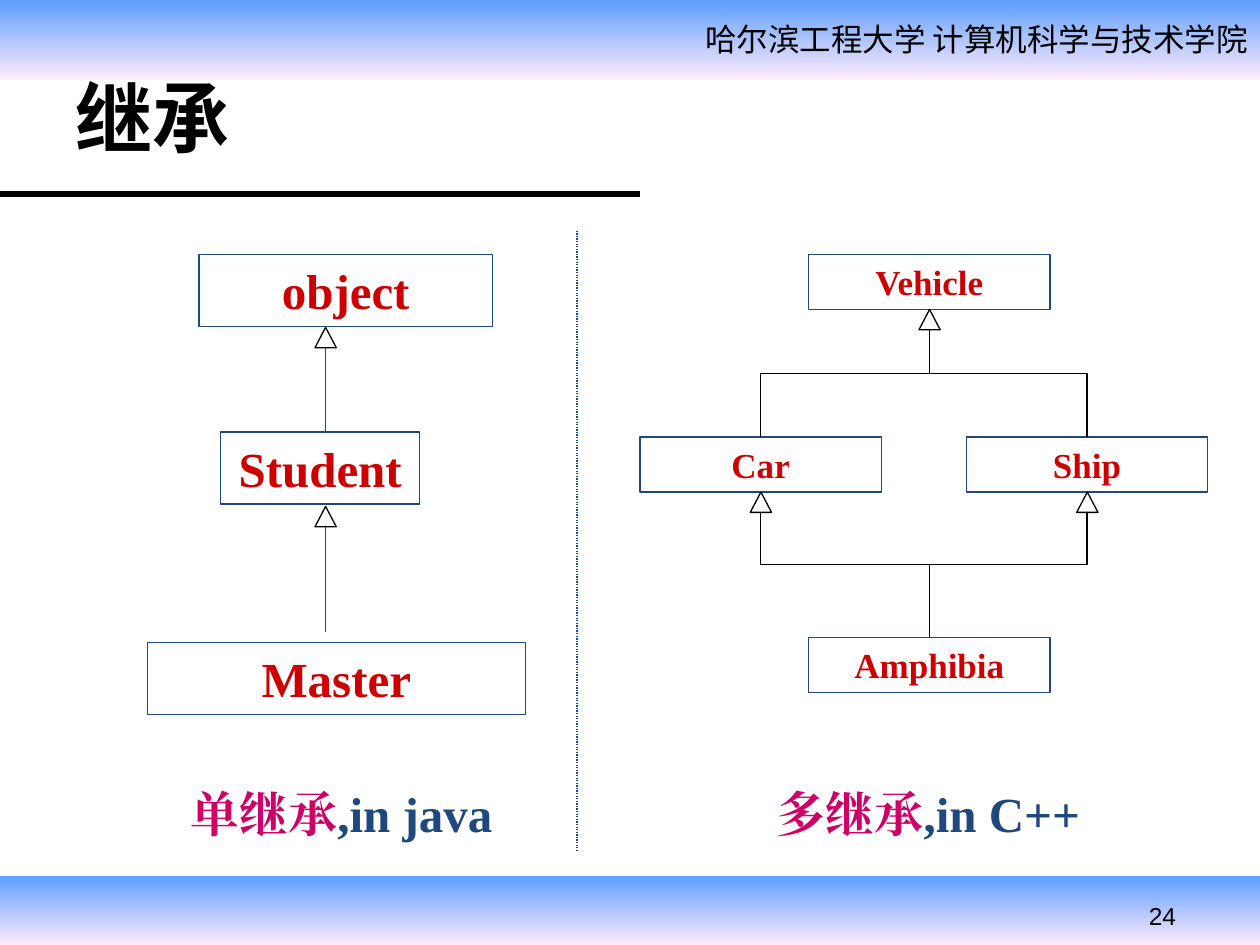
from lxml import etree
from pptx import Presentation
from pptx import util as u
from pptx.dml import color as dml
from pptx.enum import dml as styles, shapes, text
from pptx.oxml import ns

BLACK, WHITE, NAVY, RED, PINK = "000000", "FFFFFF", "1F497D", "CC0000", "CC0066"
SERIF = "Times New Roman"
MIDDLE, LEFT, RIGHT = text.PP_ALIGN.CENTER, text.PP_ALIGN.LEFT, text.PP_ALIGN.RIGHT


def rgb(value):
    """Turn a hex string into a colour."""
    return dml.RGBColor.from_string(value)


def assign(obj, values):
    """Set attributes of an object from a dict."""
    for name, value in values.items():
        setattr(obj, name, value)


def cm(*values):
    """Convert numbers to centimetre lengths."""
    return [u.Cm(v) for v in values]


def write(sp, runs, size, font=SERIF, bold=True, align=MIDDLE, **frame):
    """Write (text, colour) runs as the one paragraph of a shape."""
    tf = sp.text_frame
    assign(tf, frame)
    p = tf.paragraphs[0]
    p.alignment = align
    for words, tint in runs:
        r = p.add_run()
        r.text = words
        assign(r.font, {"size": u.Pt(size), "bold": bold, "name": font})
        r.font.color.rgb = rgb(tint)
        etree.SubElement(r.font._element, ns.qn("a:ea"), typeface=font)


def add_label(s, box, runs, size, wrap=True, **style):
    """Add a text box that fits its text."""
    sp = s.shapes.add_textbox(*cm(*box))
    write(sp, runs, size, word_wrap=wrap,
          auto_size=text.MSO_AUTO_SIZE.SHAPE_TO_FIT_TEXT, **style)


def add_band(s, top, height):
    """Add a gradient band across the slide."""
    sp = s.shapes.add_shape(shapes.MSO_SHAPE.RECTANGLE, *cm(0, top, 25.4, height))
    sp.shadow.inherit = False
    sp.line.fill.background()
    sp.fill.gradient()
    sp.fill.gradient_angle = 270
    for stop, tint in zip(sp.fill.gradient_stops, ("5E9EFF", "FFEBFA")):
        stop.color.rgb = rgb(tint)


def add_class(s, name, left, top, width, height, size):
    """Add an outlined class box with its name."""
    sp = s.shapes.add_shape(shapes.MSO_SHAPE.RECTANGLE, *cm(left, top, width, height))
    sp.shadow.inherit = False
    sp.fill.background()
    sp.line.color.rgb = rgb(NAVY)
    sp.line.width = u.Pt(0.75)
    write(sp, [(name, RED)], size, word_wrap=True,
          vertical_anchor=text.MSO_ANCHOR.TOP,
          auto_size=text.MSO_AUTO_SIZE.SHAPE_TO_FIT_TEXT)
    return sp


def style_line(cxn, tint, width=0.75, end=None, kind=None, dash=None):
    """Format a connector and remove its shadow."""
    cxn.line.color.rgb = rgb(tint)
    cxn.line.width = u.Pt(width)
    if dash:
        cxn.line.dash_style = dash
    if end:
        etree.SubElement(cxn.line._get_or_add_ln(), ns.qn(f"a:{end}"), type=kind)
    etree.SubElement(cxn._element.spPr, ns.qn("a:effectLst"))


def add_line(s, ends, tint, **style):
    """Add a straight line."""
    cxn = s.shapes.add_connector(shapes.MSO_CONNECTOR.STRAIGHT, *cm(*ends))
    style_line(cxn, tint, **style)


def add_elbow(s, child, parent):
    """Join the top of a child to the bottom of its parent, vertical first."""
    x1, y1 = child.left + child.width // 2, child.top
    x2, y2 = parent.left + parent.width // 2, parent.top + parent.height
    cx, cy = (x1 + x2) // 2, (y1 + y2) // 2
    rise, run = (y1 - y2) // 2, (x2 - x1) // 2
    cxn = s.shapes.add_connector(shapes.MSO_CONNECTOR.ELBOW,
                                 cx - rise, cy - run, cx + rise, cy + run)
    cxn._element.spPr.find(ns.qn("a:xfrm")).set("rot", "16200000")
    style_line(cxn, BLACK, end="tailEnd", kind="triangle")


def add_head(s, x, y):
    """Add a hollow inheritance arrowhead with its tip at x, y."""
    sp = s.shapes.add_shape(shapes.MSO_SHAPE.ISOSCELES_TRIANGLE,
                            *cm(x - 0.21, y, 0.43, 0.41))
    sp.shadow.inherit = False
    sp.fill.solid()
    sp.fill.fore_color.rgb = rgb(WHITE)
    sp.line.color.rgb = rgb(BLACK)
    sp.line.width = u.Pt(0.75)


def add_frame(s):
    """Add the bands, header, rule, page number and title."""
    add_band(s, 0, 1.6)
    add_band(s, 17.65, 1.4)
    add_line(s, (0, 3.91, 12.9, 3.91), BLACK, width=3)
    add_label(s, (0.08, 0.28, 25.32, 1.02), [("哈尔滨工程大学 计算机科学与技术学院", BLACK)],
              18, font="Noto Sans CJK JP", bold=False, align=RIGHT)
    add_label(s, (22.91, 18.03, 2.77, 0.86), [("24", BLACK)],
              14, wrap=False, font="Arial", bold=False, align=LEFT)
    title = s.shapes.title
    assign(title, dict(zip(("left", "top", "width", "height"),
                           cm(1.27, 0.76, 22.86, 3.18))))
    write(title, [("继承", BLACK)], 44, font="Noto Sans CJK SC", align=LEFT,
          vertical_anchor=text.MSO_ANCHOR.MIDDLE)


def add_single(s):
    """Draw the single inheritance chain."""
    for name, left, top, width in (("object", 4.01, 5.13, 5.92),
                                   ("Student", 4.45, 8.71, 4.01),
                                   ("Master", 2.97, 12.95, 7.62)):
        add_class(s, name, left, top, width, 1.45, 28)
    for top, bottom in ((6.6, 8.71), (10.21, 12.75)):
        add_line(s, (6.56, top, 6.56, bottom), NAVY, end="headEnd", kind="arrow")
        add_head(s, 6.56, top)


def add_multiple(s):
    """Draw the multiple inheritance diamond."""
    vehicle, amphibia, car, ship = (
        add_class(s, name, left, top, 4.87, 1.11, 20)
        for name, left, top in (("Vehicle", 16.3, 5.13), ("Amphibia", 16.3, 12.85),
                                ("Car", 12.9, 8.81), ("Ship", 19.48, 8.81)))
    for middle in (car, ship):
        add_elbow(s, middle, vehicle)
        add_elbow(s, amphibia, middle)
    for parent in (vehicle, car, ship):
        add_head(s, u.Emu(parent.left + parent.width // 2).cm,
                 u.Emu(parent.top + parent.height).cm)


def main():
    """Build the slide and save it."""
    prs = Presentation()
    assign(prs, {"slide_width": u.Cm(25.4), "slide_height": u.Cm(19.05)})
    s = prs.slides.add_slide(prs.slide_layouts[5])
    add_frame(s)
    add_single(s)
    add_line(s, (11.63, 4.65, 11.63, 17.15), NAVY, dash=styles.MSO_LINE.ROUND_DOT)
    add_multiple(s)
    for left, kind, language in ((2.34, "单继承", ",in java"), (14.17, "多继承", ",in C++")):
        add_label(s, (left, 15.67, 9.09, 1.45), [(kind, PINK), (language, NAVY)], 28)
    prs.save("out.pptx")


if __name__ == "__main__":
    main()
